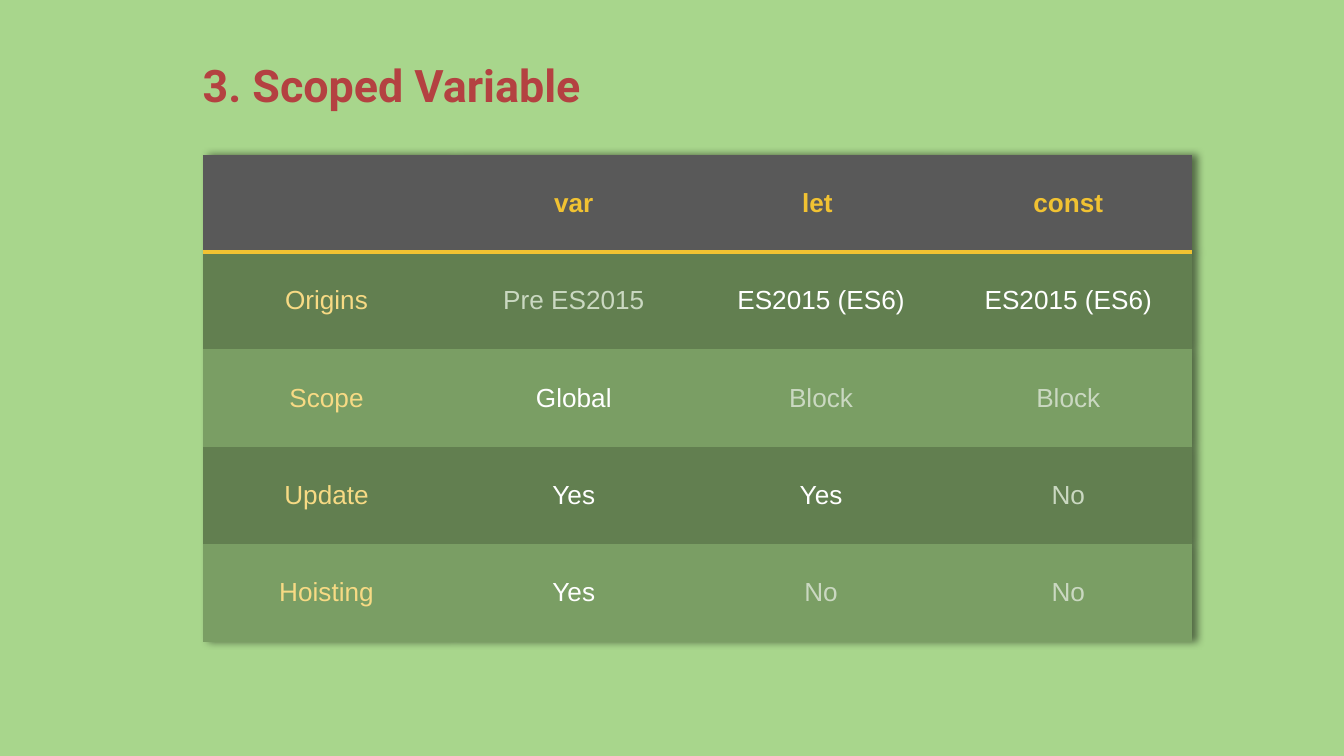
from dataclasses import dataclass

from lxml import etree
from pptx import Presentation, util as u
from pptx.dml.color import RGBColor
from pptx.enum import text
from pptx.oxml import ns

SCALE = 4572  # EMU per px, 200 px to the inch
NO_STYLE = "{2D5ABB26-0587-4C30-8999-92F81FD0307C}"


@dataclass(frozen=True)
class Theme:
    background: str = "A8D68C"
    title: str = "B44141"
    header: str = "595959"
    accent: str = "F1C232"
    label: str = "F7DA84"
    strong: str = "FFFFFF"
    muted: str = "CAD8C1"
    bands: tuple = ("627F50", "7A9E64")
    title_font: str = "Roboto"
    body_font: str = "Arial"
    title_size: int = 24
    body_size: int = 14


def px(value):
    return u.Emu(value * SCALE)


def add_xml(parent, tag, **attributes):
    return etree.SubElement(parent, ns.qn(tag), attributes)


class SlideBuilder:
    def __init__(self, slide, theme):
        self.slide = slide
        self.theme = theme

    def background(self):
        fill = self.slide.background.fill
        fill.solid()
        fill.fore_color.rgb = RGBColor.from_string(self.theme.background)

    def add_text(self, frame, words, color, **font_format):
        paragraph = frame.paragraphs[0]
        run = paragraph.add_run()
        run.text = words
        run.font.color.rgb = RGBColor.from_string(color)
        for name, value in font_format.items():
            setattr(run.font, name, value)
        return paragraph

    def title(self, words, left, top, width, height):
        frame = self.slide.shapes.add_textbox(*map(px, (left, top, width, height))).text_frame
        frame_format = {"word_wrap": True, "vertical_anchor": text.MSO_ANCHOR.TOP}
        for side in ("left", "top", "right", "bottom"):
            frame_format[f"margin_{side}"] = px(20)
        for name, value in frame_format.items():
            setattr(frame, name, value)
        self.add_text(frame, words, self.theme.title, name=self.theme.title_font,
                      size=u.Pt(self.theme.title_size), bold=True)

    def cell(self, cell, words, fill, color, bold):
        cell.fill.solid()
        cell.fill.fore_color.rgb = RGBColor.from_string(fill)
        cell.vertical_anchor = text.MSO_ANCHOR.MIDDLE
        if words:
            paragraph = self.add_text(cell.text_frame, words, color, name=self.theme.body_font,
                                      size=u.Pt(self.theme.body_size), bold=bold)
            paragraph.alignment = text.PP_ALIGN.CENTER

    def underline(self, cell):
        line = etree.Element(ns.qn("a:lnB"), w=str(u.Pt(2)))
        add_xml(add_xml(line, "a:solidFill"), "a:srgbClr", val=self.theme.accent)
        cell._tc.get_or_add_tcPr().insert(0, line)

    def table_shadow(self, table):
        effects = etree.Element(ns.qn("a:effectLst"))
        shadow = add_xml(effects, "a:outerShdw", blurRad=str(u.Pt(4)), dist=str(u.Pt(3)),
                         dir="0", algn="bl", rotWithShape="0")
        color = add_xml(shadow, "a:srgbClr", val="000000")
        add_xml(color, "a:alpha", val="50000")
        table._tbl.tblPr.insert(0, effects)

    def table(self, header, rows, left, top, column_width, row_height):
        row_count, column_count = len(rows) + 1, len(header)
        table = self.slide.shapes.add_table(
            row_count, column_count, px(left), px(top),
            px(column_width * column_count), px(row_height * row_count)).table
        table.horz_banding = False
        table._tbl.tblPr.find(ns.qn("a:tableStyleId")).text = NO_STYLE
        self.table_shadow(table)
        for column in table.columns:
            column.width = px(column_width)
        for row in table.rows:
            row.height = px(row_height)

        # Header row
        for index, words in enumerate(header):
            cell = table.cell(0, index)
            self.cell(cell, words, self.theme.header, self.theme.accent, True)
            self.underline(cell)

        # Banded rows: a label, then values that are strong or muted
        for number, (label, values, muted) in enumerate(rows):
            fill = self.theme.bands[number % 2]
            self.cell(table.cell(number + 1, 0), label, fill, self.theme.label, False)
            for index, words in enumerate(values):
                color = self.theme.muted if words in muted else self.theme.strong
                self.cell(table.cell(number + 1, index + 1), words, fill, color, False)


HEADER = ("", "var", "let ", "const")
ROWS = (  # label, values, muted values
    ("Origins", ("Pre ES2015", "ES2015 (ES6)", "ES2015 (ES6)"), ("Pre ES2015",)),
    ("Scope", ("Global", "Block", "Block"), ("Block",)),
    ("Update", ("Yes", "Yes", "No"), ("No",)),
    ("Hoisting", ("Yes", "No", "No"), ("No",)),
)


def main():
    presentation = Presentation()
    presentation.slide_width, presentation.slide_height = px(2000), px(1125)
    slide = presentation.slides.add_slide(presentation.slide_layouts[6])
    builder = SlideBuilder(slide, Theme())
    builder.background()
    builder.title("3. Scoped Variable", 282, 66, 1400, 114)
    builder.table(HEADER, ROWS, left=302, top=230, column_width=368, row_height=145)
    presentation.save("out.pptx")


if __name__ == "__main__":
    main()
